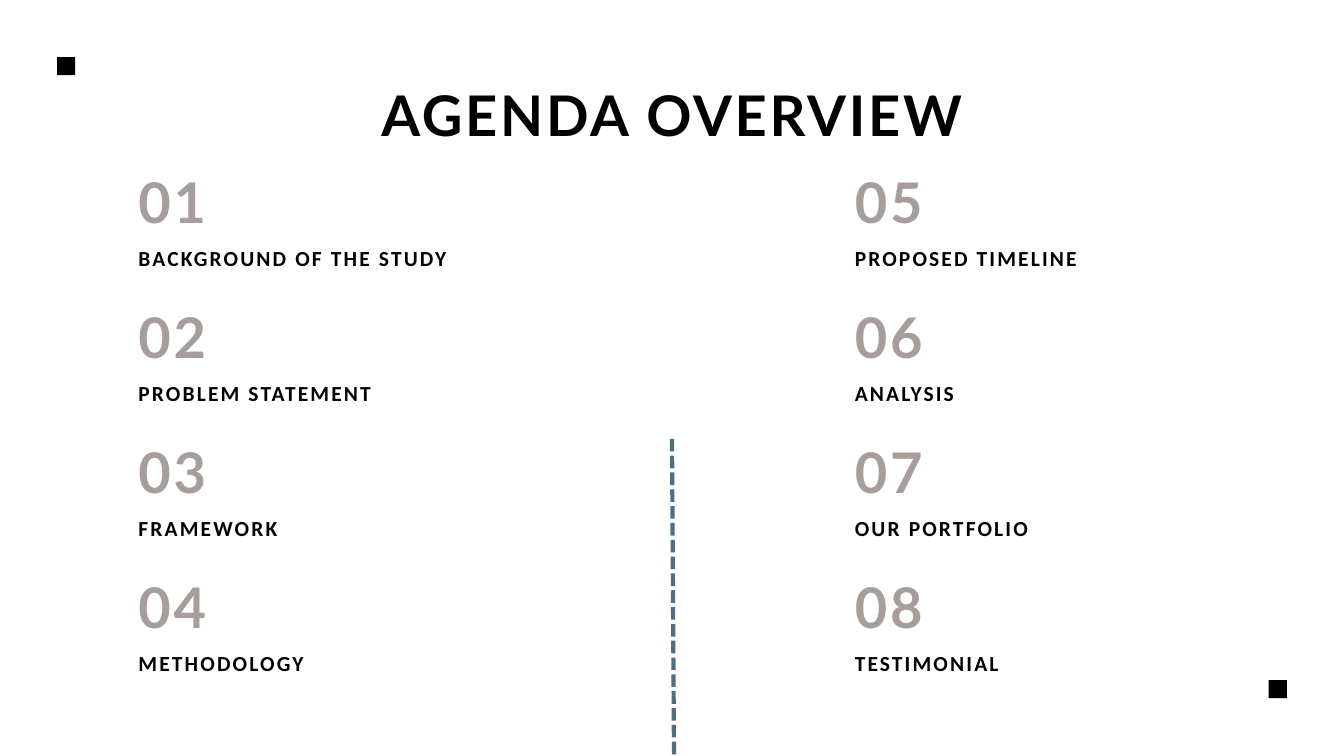
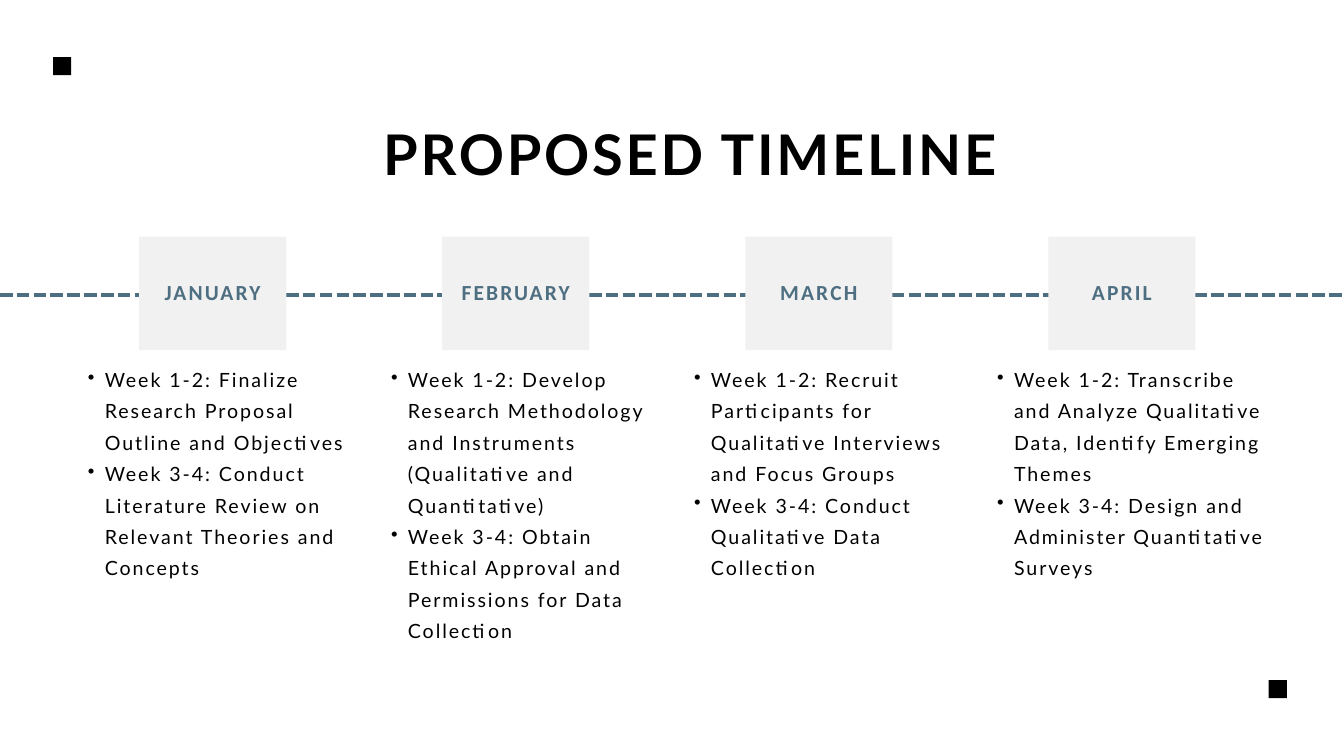
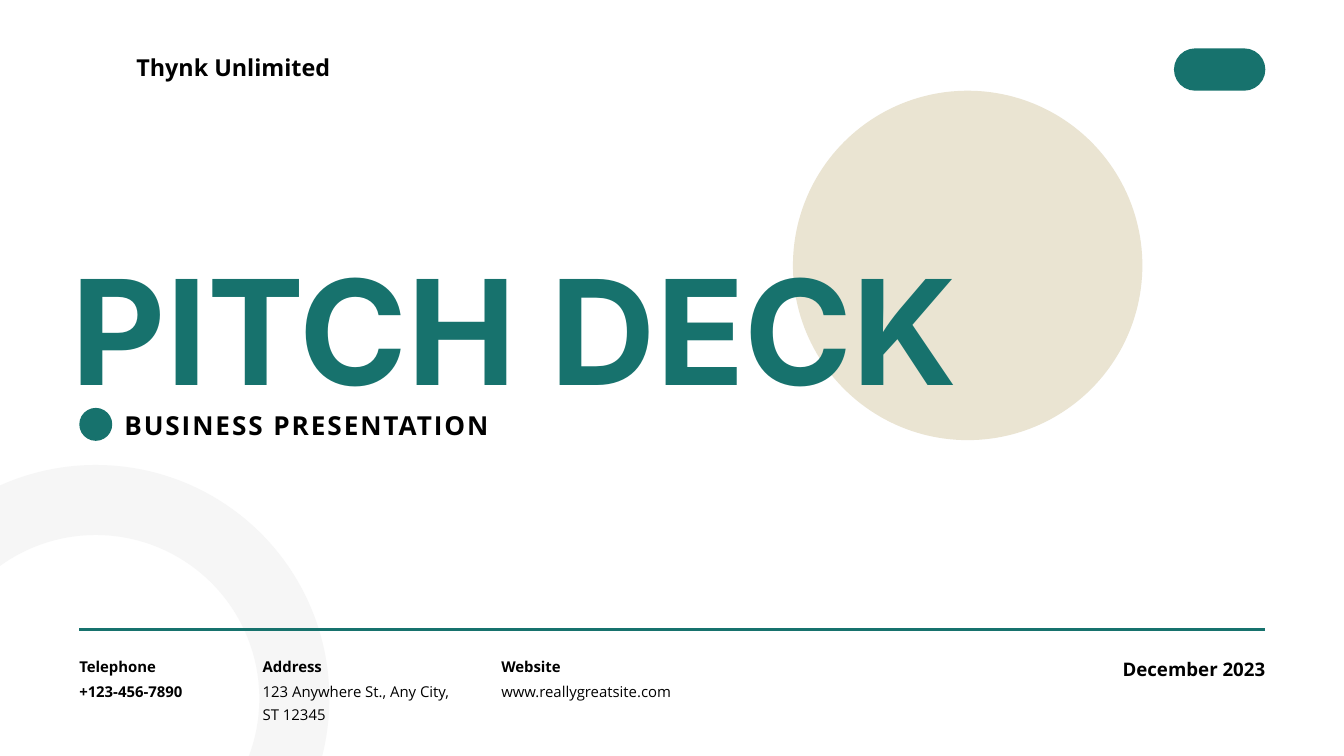
from lxml.etree import SubElement
from pptx import Presentation
from pptx.dml.color import RGBColor
from pptx.enum.dml import MSO_LINE as Dash
from pptx.enum.shapes import MSO_CONNECTOR as Link, MSO_SHAPE as Shape
from pptx.enum.text import MSO_ANCHOR as Anchor, MSO_AUTO_SIZE as Fit, PP_ALIGN as Align
from pptx.oxml.ns import qn
from pptx.util import Inches, Pt

BLACK, SLATE, TAUPE, MIST = "000000", "4E6E81", "A79E9C", "F2F1F1"
TEAL, SAND, PALE = "17726D", "EAE4D2", "F6F6F6"

HEAD = dict(font="Lato", size=60, lead=84, bold=True, track=3)
LABEL = dict(font="Calibri", size=23, lead=32.2, bold=True, track=2.3)
BODY = dict(font="Lato", size=21, lead=33.6, track=2.1, bullet=True)
SANS = dict(font="Open Sans", bold=True)
SMALL = dict(font="Open Sans", size=16, lead=24.8, align=Align.JUSTIFY)

TOPICS = ["BACKGROUND OF THE STUDY", "PROBLEM STATEMENT", "FRAMEWORK", "METHODOLOGY",
          "PROPOSED TIMELINE", "ANALYSIS", "OUR PORTFOLIO", "TESTIMONIAL"]
MONTHS = {
    "JANUARY": ["Week 1-2: Finalize Research Proposal Outline and Objectives",
                "Week 3-4: Conduct Literature Review on Relevant Theories and Concepts"],
    "FEBRUARY": ["Week 1-2: Develop Research Methodology and Instruments "
                 "(Qualitative and Quantitative)",
                 "Week 3-4: Obtain Ethical Approval and Permissions for Data Collection"],
    "MARCH": ["Week 1-2: Recruit Participants for Qualitative Interviews and Focus Groups",
              "Week 3-4: Conduct Qualitative Data Collection"],
    "APRIL": ["Week 1-2: Transcribe and Analyze Qualitative Data, Identify Emerging Themes",
              "Week 3-4: Design and Administer Quantitative Surveys"],
}
CONTACTS = [
    (1.18, 2.2, "Telephone", ["+123-456-7890"], True),
    (3.91, 2.98, "Address", ["123 Anywhere St., Any City,", "ST 12345"], False),
    (7.46, 3.14, "Website", ["www.reallygreatsite.com"], False),
]


def tint(code):
    return RGBColor.from_string(code)


def write(frame, text, font="Lato", size=20, lead=28, color=BLACK, bold=False,
          track=0, align=Align.LEFT, bullet=False):
    lines = [text] if isinstance(text, str) else text
    for i, line in enumerate(lines):
        para = frame.add_paragraph() if i else frame.paragraphs[0]
        para.alignment, para.line_spacing = align, Pt(lead)
        if bullet:
            para.level = 1
            props = para._p.get_or_add_pPr()
            props.set("marL", str(Inches(0.5)))
            props.set("indent", str(Inches(-0.25)))
            SubElement(props, qn("a:buChar")).set("char", "•")
        run = para.add_run()
        run.text = line
        run.font.name, run.font.size, run.font.bold = font, Pt(size), bold
        run.font.color.rgb = tint(color)
        if track:
            run._r.get_or_add_rPr().set("spc", str(round(track * 100)))


class Deck:
    """Holds the deck style and the slide being drawn."""

    def __init__(self):
        self.prs = Presentation()
        self.prs.slide_width, self.prs.slide_height = Inches(20), Inches(11.25)

    def page(self):
        self.slide = self.prs.slides.add_slide(self.prs.slide_layouts[6])

    def text(self, words, x, y, w, h, **style):
        frame = self.slide.shapes.add_textbox(*map(Inches, (x, y, w, h))).text_frame
        frame.margin_left = frame.margin_right = frame.margin_top = frame.margin_bottom = 0
        frame.word_wrap, frame.auto_size = True, Fit.SHAPE_TO_FIT_TEXT
        write(frame, words, **style)

    def shape(self, kind, x, y, w, h, fill=None, line=None, width=0):
        item = self.slide.shapes.add_shape(kind, *map(Inches, (x, y, w, h)))
        item.shadow.inherit = False
        if fill:
            item.fill.solid()
            item.fill.fore_color.rgb = tint(fill)
        else:
            item.fill.background()
        if line:
            item.line.color.rgb, item.line.width = tint(line), Pt(width)
        else:
            item.line.fill.background()
        return item

    def rule(self, x1, y1, x2, y2, color, width, dash=None):
        item = self.slide.shapes.add_connector(Link.STRAIGHT, *map(Inches, (x1, y1, x2, y2)))
        item.line.color.rgb, item.line.width = tint(color), Pt(width)
        if dash:
            item.line.dash_style = dash
        SubElement(item._element.spPr, qn("a:effectLst"))

    def tag(self, words, x, y, w, h):
        frame = self.shape(Shape.RECTANGLE, x, y, w, h, MIST).text_frame
        frame.margin_left = frame.margin_right = frame.margin_top = Inches(0.06)
        frame.margin_bottom = Inches(0.2)
        frame.word_wrap, frame.vertical_anchor = True, Anchor.MIDDLE
        write(frame, words, **{**LABEL, "lead": 34.5}, color=SLATE, align=Align.CENTER)

    def title(self, words, x, y, w):
        self.text(words, x, y, w, 1.18, **HEAD, align=Align.CENTER)

    def marks(self, left):
        for x, y in ((18.88, 10.12), (left, 0.85)):
            self.shape(Shape.RECTANGLE, x, y, 0.27, 0.27, BLACK)


def agenda(deck):
    deck.page()
    deck.title("AGENDA OVERVIEW", 2.06, 1.03, 15.88)
    for i, topic in enumerate(TOPICS):
        col, row = divmod(i, 4)
        x, y = 2.06 + 10.66 * col, 2.33 + 2.01 * row
        deck.text(f"{i + 1:02}", x, y, 5.22, 1.18, **HEAD, color=TAUPE)
        deck.text(topic, x, y + 1.25, 5.22, 0.43, **LABEL)
    deck.rule(10, 6.53, 10.03, 11.25, SLATE, 4.5, Dash.SQUARE_DOT)
    deck.marks(0.85)


def timeline(deck):
    deck.page()
    deck.rule(0, 4.39, 20, 4.39, SLATE, 4.5, Dash.SQUARE_DOT)
    for i, (month, tasks) in enumerate(MONTHS.items()):
        x = 2.07 + 4.51 * i
        deck.tag(month, x, 3.52, 2.19, 1.69)
        deck.text(tasks, x - 1.01, 5.36, 4.23, 3.18, **BODY)
    deck.title("PROPOSED TIMELINE", 1.59, 1.61, 17.36)
    deck.marks(0.79)


def cover(deck):
    deck.page()
    deck.shape(Shape.OVAL, -1.53, 7.44, 5.91, 5.91, line=PALE, width=75)
    deck.rule(1.18, 9.37, 18.82, 9.37, TEAL, 3)
    deck.shape(Shape.OVAL, 11.8, 1.35, 5.2, 5.2, SAND)
    deck.shape(Shape.OVAL, 1.18, 6.07, 0.49, 0.49, TEAL)
    pill = deck.shape(Shape.ROUNDED_RECTANGLE, 17.47, 0.72, 1.36, 0.63, TEAL)
    pill.adjustments[0] = 0.5
    deck.text("PITCH DECK", 1.07, 3.14, 15.49, 2.93, font="Inter", size=156.2,
              lead=218.7, color=TEAL, bold=True)
    for x, w, name, lines, bold in CONTACTS:
        deck.text(name, x, 9.71, w, 0.32, **SMALL, bold=True)
        deck.text(lines, x, 10.08, w, 0.33 * len(lines), **SMALL, bold=bold)
    deck.text("December 2023", 15.69, 9.69, 3.14, 0.4, **SANS, size=20, lead=31,
              align=Align.RIGHT)
    deck.text("BUSINESS PRESENTATION", 1.85, 6.02, 8.82, 0.53, **SANS, size=28,
              lead=39.2, track=2.1)
    deck.text("Thynk Unlimited", 2.03, 0.72, 3.49, 0.46, **SANS, size=25, lead=35)


def main():
    deck = Deck()
    for draw in (agenda, timeline, cover):
        draw(deck)
    deck.prs.save("out.pptx")


if __name__ == "__main__":
    main()
